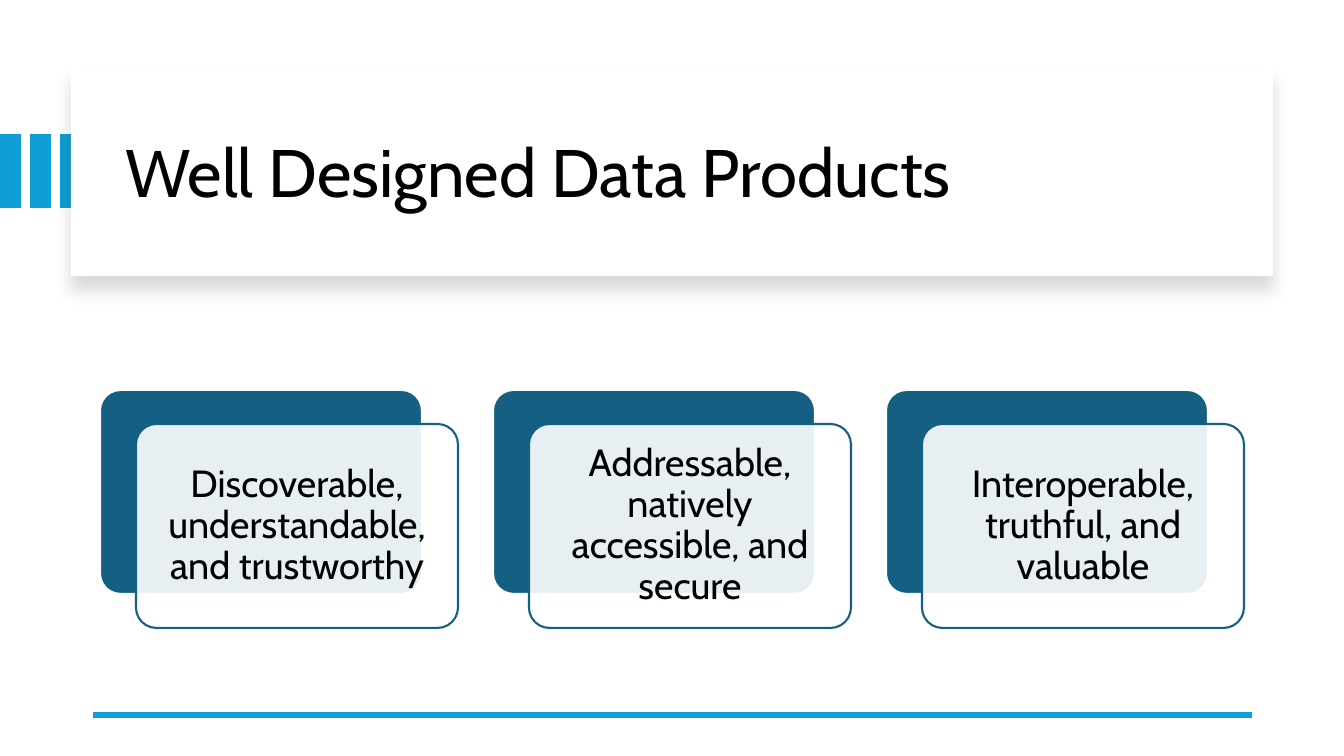
import pptx
import pptx.util
import pptx.dml.color
import pptx.enum.shapes
import pptx.enum.text
import pptx.oxml

PX = 12700 * 72 / 100.8  # EMU in one px
COLORS = {"white": "FFFFFF", "black": "000000", "sky": "0F9ED5", "teal": "156082"}
NAMESPACE = 'xmlns:a="http://schemas.openxmlformats.org/drawingml/2006/main"'
SHAPE = pptx.enum.shapes.MSO_SHAPE


def write_text(box, text, size, align, margins):
    frame = box.text_frame
    frame.word_wrap = True
    frame.auto_size = pptx.enum.text.MSO_AUTO_SIZE.NONE
    frame.vertical_anchor = pptx.enum.text.MSO_ANCHOR.MIDDLE
    frame.margin_left = frame.margin_right = round(margins[0] * PX)
    frame.margin_top = frame.margin_bottom = round(margins[1] * PX)
    para = frame.paragraphs[0]
    para.alignment = align
    para.line_spacing = 0.9
    span = para.add_run()
    span.text = text
    span.font.name = "Cabin"
    span.font.size = pptx.util.Pt(size)
    span.font.color.rgb = pptx.dml.color.RGBColor.from_string(COLORS["black"])


def add_block(parent, kind, bounds, fill, line=None):
    block = parent.shapes.add_shape(kind, *[round(value * PX) for value in bounds])
    block.shadow.inherit = False
    block.fill.solid()
    block.fill.fore_color.rgb = pptx.dml.color.RGBColor.from_string(COLORS[fill])
    if line:
        block.line.color.rgb = pptx.dml.color.RGBColor.from_string(COLORS[line])
        block.line.width = pptx.util.Pt(1.5)
    else:
        block.line.fill.background()
    return block


deck = pptx.Presentation()
deck.slide_width = round(1344 * PX)
deck.slide_height = round(756 * PX)
page = deck.slides.add_slide(deck.slide_layouts[5])

# Three bars at the left edge
bars = page.shapes.add_group_shape()
for index in range(3):
    add_block(bars, SHAPE.RECTANGLE, (index * 30, 134, 21, 74), "sky")

# White title panel with a soft shadow
panel = add_block(page, SHAPE.RECTANGLE, (71, 68, 1202, 208), "white")
effects = panel._element.spPr.find(pptx.oxml.ns.qn("a:effectLst"))
effects.append(pptx.oxml.parse_xml(
    f'<a:outerShdw {NAMESPACE} blurRad="139700" dist="127000" dir="5400000" algn="t" '
    'rotWithShape="0"><a:srgbClr val="000000"><a:alpha val="15000"/></a:srgbClr></a:outerShdw>'))

# Title, placed in front of the panel
title = page.shapes.title
title.left, title.top, title.width, title.height = [
    round(value * PX) for value in (115, 90, 1122, 171)]
write_text(title, "Well Designed Data Products", 48,
           pptx.enum.text.PP_ALIGN.LEFT, (10, 5))
panel._element.addnext(title._element)

# Bottom rule
rule = page.shapes.add_connector(
    pptx.enum.shapes.MSO_CONNECTOR.STRAIGHT,
    *[round(value * PX) for value in (1252, 715, 93, 715)])
rule.line.color.rgb = pptx.dml.color.RGBColor.from_string(COLORS["sky"])
rule.line.width = pptx.util.Pt(4.5)
rule._element.spPr.append(pptx.oxml.parse_xml(f"<a:effectLst {NAMESPACE}/>"))

# Cards: teal back, translucent front, text
qualities = [
    "Discoverable, understandable, and trustworthy",
    "Addressable, natively accessible, and secure",
    "Interoperable, truthful, and valuable",
]
cards = page.shapes.add_group_shape()
for index, quality in enumerate(qualities):
    left = 100 + index * 393
    back = add_block(cards, SHAPE.ROUNDED_RECTANGLE, (left, 390, 322, 204), "teal", "white")
    front = add_block(cards, SHAPE.ROUNDED_RECTANGLE, (left + 36, 424, 322, 204), "white", "teal")
    back.adjustments[0] = front.adjustments[0] = 0.1
    front_color = front._element.spPr.find(".//" + pptx.oxml.ns.qn("a:srgbClr"))
    front_color.append(pptx.oxml.parse_xml(f'<a:alpha {NAMESPACE} val="90000"/>'))
    label = cards.shapes.add_textbox(
        *[round(value * PX) for value in (left + 42, 430, 310, 192)])
    write_text(label, quality, 27, pptx.enum.text.PP_ALIGN.CENTER, (11, 11))

deck.save("out.pptx")
